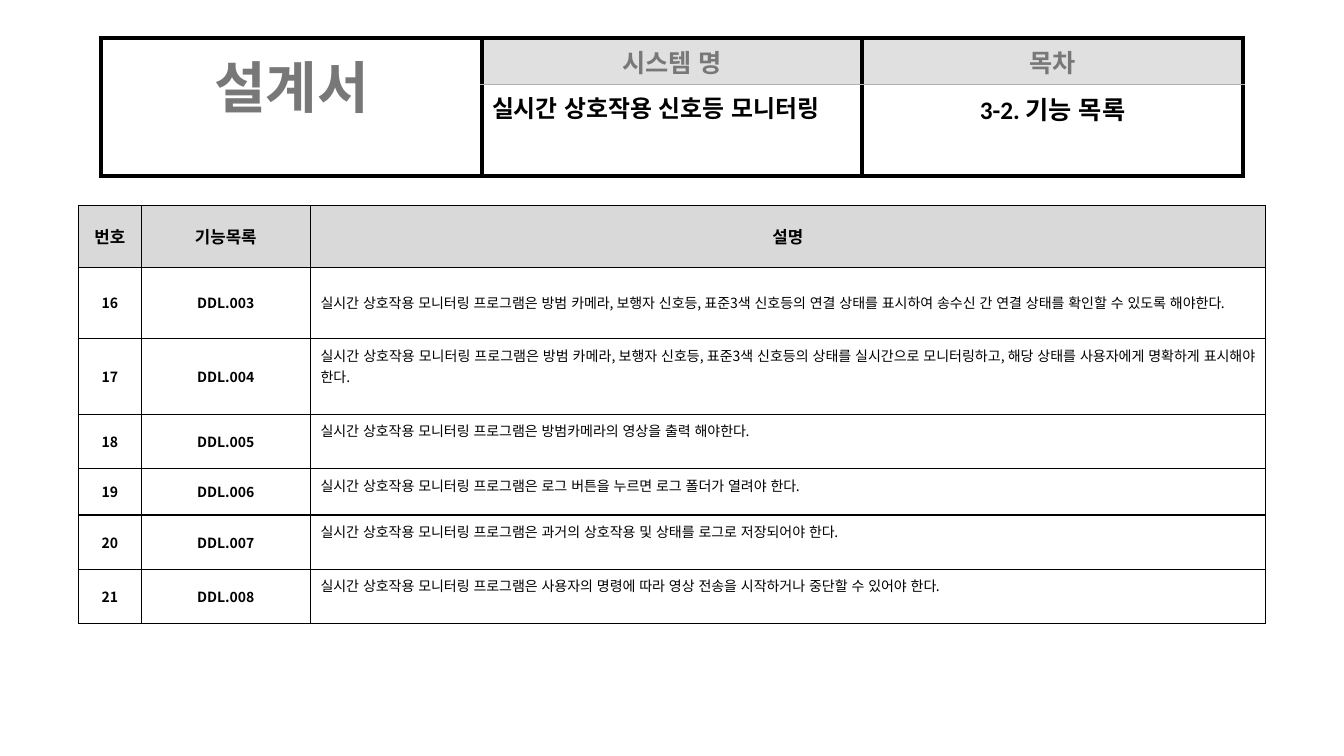
from lxml.etree import SubElement
from pptx import Presentation
from pptx.dml.color import RGBColor
from pptx.enum.lang import MSO_LANGUAGE_ID as Lang
from pptx.enum.text import MSO_ANCHOR as Anchor, PP_ALIGN as Align
from pptx.oxml import parse_xml
from pptx.oxml.ns import nsdecls, qn
from pptx.util import Inches, Pt

KOREAN_FONT = "Noto Sans CJK KR"
LATIN_FONT = "Calibri"
BLACK, GREY, SILVER, PALE = "000000", "787878", "B2B2B2", "D9D9D9"
THICK, THIN, FAINT = (BLACK, 3), (BLACK, 1), (SILVER, 1)

PREFIX = "실시간 상호작용 모니터링 프로그램은 "
FUNCTIONS = [
    "방범 카메라, 보행자 신호등, 표준3색 신호등의 연결 상태를 표시하여 "
    "송수신 간 연결 상태를 확인할 수 있도록 해야한다.",
    "방범 카메라, 보행자 신호등, 표준3색 신호등의 상태를 실시간으로 모니터링하고, "
    "해당 상태를 사용자에게 명확하게 표시해야 한다.",
    "방범카메라의 영상을 출력 해야한다.",
    "로그 버튼을 누르면 로그 폴더가 열려야 한다.",
    "과거의 상호작용 및 상태를 로그로 저장되어야 한다.",
    "사용자의 명령에 따라 영상 전송을 시작하거나 중단할 수 있어야 한다.",
]
FIRST_NUMBER, FIRST_CODE = 16, 3


def rgb(color):
    return RGBColor.from_string(color)


def write(cell, text, size=10, font=KOREAN_FONT, color=BLACK, bold=True,
          align=Align.CENTER, anchor=Anchor.MIDDLE, spacing=None, after=None):
    """Fill a cell with one formatted paragraph."""
    cell.vertical_anchor = anchor
    paragraph = cell.text_frame.paragraphs[0]
    paragraph.alignment = align
    if spacing:
        paragraph.line_spacing = spacing
    if after:
        paragraph.space_after = Pt(after)
    run = paragraph.add_run()
    run.text = text
    style = run.font
    style.size, style.bold = Pt(size), bold
    style.color.rgb = rgb(color)
    style.name = font
    style.language_id = Lang.KOREAN
    SubElement(style._element, qn("a:ea")).set("typeface", KOREAN_FONT)


class DesignSlide:
    def __init__(self, deck):
        self.slide = deck.slides.add_slide(deck.slide_layouts[6])

    def table(self, left, top, widths, heights):
        frame = self.slide.shapes.add_table(
            len(heights), len(widths), Inches(left), Inches(top),
            Inches(sum(widths)), Inches(sum(heights)))
        table = frame.table
        table.first_row = table.horz_banding = False
        for column, width in zip(table.columns, widths):
            column.width = Inches(width)
        for row, height in zip(table.rows, heights):
            row.height = Inches(height)
        return table

    def paint(self, cell, fill=None, opacity=None, edges=(THIN,) * 4):
        """Set the fill and the left, right, top and bottom borders."""
        if fill:
            cell.fill.solid()
            cell.fill.fore_color.rgb = rgb(fill)
        else:
            cell.fill.background()
        properties = cell._tc.get_or_add_tcPr()
        if opacity:
            tint = properties.find(".//" + qn("a:srgbClr"))
            SubElement(tint, qn("a:alpha")).set("val", str(opacity * 1000))
        for place, (side, (color, points)) in enumerate(zip("LRTB", edges)):
            properties.insert(place, parse_xml(
                f'<a:ln{side} {nsdecls("a")} w="{Pt(points)}"><a:solidFill>'
                f'<a:srgbClr val="{color}"/></a:solidFill></a:ln{side}>'))

    def function_list(self):
        table = self.table(0.78, 2.04, [0.62, 1.68, 9.47],
                           [0.61, 0.71, 0.75, 0.54, 0.46, 0.54, 0.54])
        for column, heading in enumerate(["번호", "기능목록", "설명"]):
            cell = table.cell(0, column)
            self.paint(cell, PALE)
            write(cell, heading, size=12)
        for index, description in enumerate(FUNCTIONS):
            number, code, detail = table.rows[index + 1].cells
            for cell in (number, code, detail):
                self.paint(cell)
            write(number, str(FIRST_NUMBER + index))
            write(code, f"DDL.{FIRST_CODE + index:03}")
            if index == 0:
                layout = dict(align=Align.LEFT)
            else:
                layout = dict(align=Align.JUSTIFY, anchor=Anchor.TOP,
                              spacing=1.07, after=8)
            write(detail, PREFIX + description, bold=False, **layout)

    def header(self):
        table = self.table(1, 0.38, [3.78, 3.77, 3.78], [0.41, 0.43])
        document = table.cell(0, 0)
        document.merge(table.cell(1, 0))
        for row in range(2):
            self.paint(table.cell(row, 0), "FFFFFF", edges=(THICK,) * 4)
        write(document, "설계서", size=40, font=LATIN_FONT, color=GREY,
              anchor=Anchor.TOP)
        entries = [
            ("시스템 명", "실시간 상호작용 신호등 모니터링",
             dict(size=17, align=Align.LEFT)),
            ("목차", "3-2. 기능 목록", dict(size=18, font=LATIN_FONT)),
        ]
        for column, (label, value, style) in enumerate(entries, 1):
            label_cell, value_cell = table.cell(0, column), table.cell(1, column)
            self.paint(label_cell, SILVER, 40, (THICK, THICK, THICK, FAINT))
            self.paint(value_cell, edges=(THICK, THICK, FAINT, THICK))
            write(label_cell, label, size=18, font=LATIN_FONT, color=GREY,
                  anchor=Anchor.TOP)
            write(value_cell, value, anchor=Anchor.TOP, **style)


def main():
    deck = Presentation()
    deck.slide_width, deck.slide_height = Inches(13.33), Inches(7.5)
    design = DesignSlide(deck)
    design.function_list()
    design.header()
    deck.save("out.pptx")


if __name__ == "__main__":
    main()
